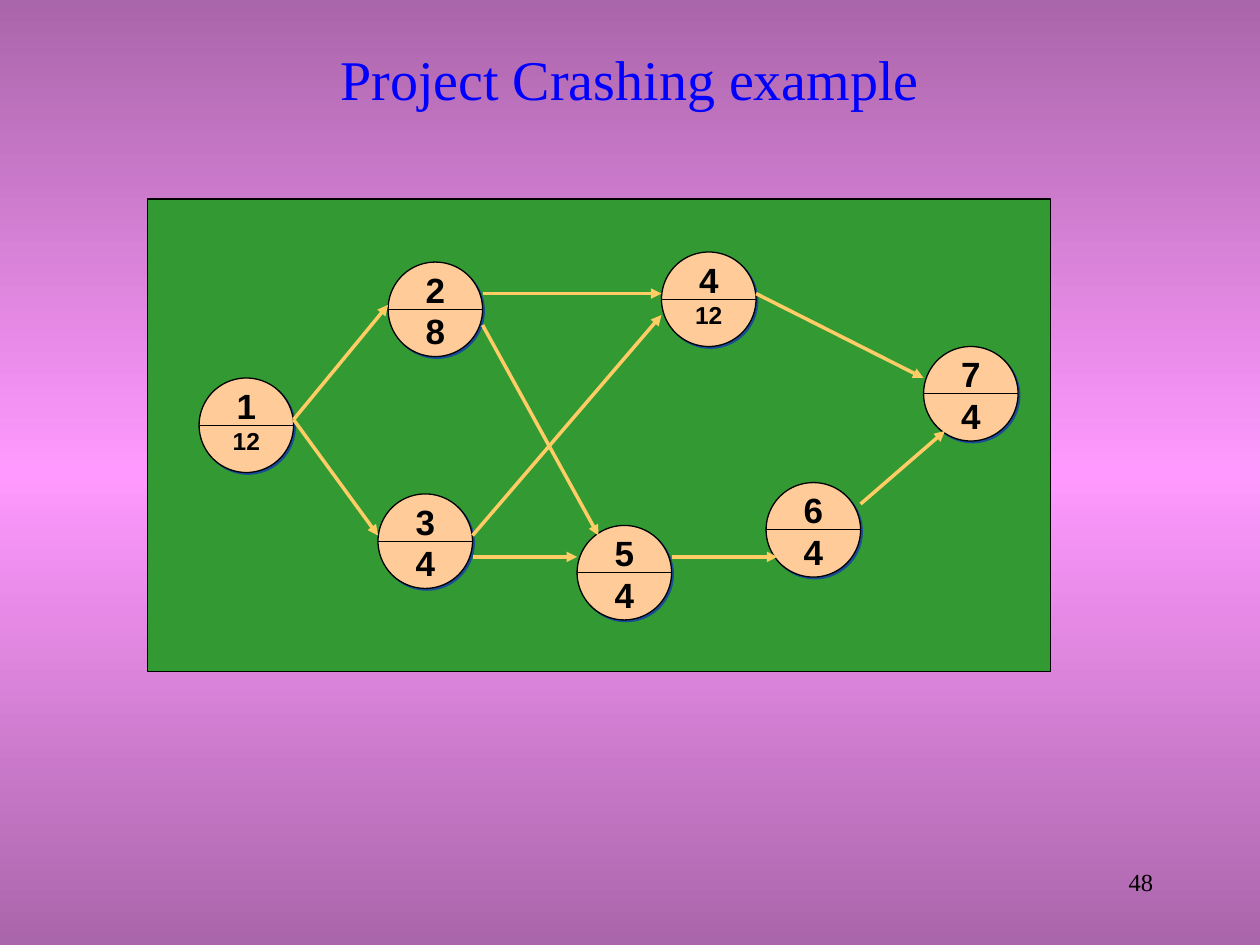
from copy import deepcopy

from lxml.etree import SubElement
from pptx import Presentation
from pptx.dml.color import RGBColor
from pptx.enum.shapes import MSO_CONNECTOR, MSO_SHAPE
from pptx.enum.text import MSO_ANCHOR, PP_ALIGN
from pptx.oxml.ns import qn
from pptx.util import Inches, Pt

TITLE = "Project Crashing example"
PAGE_NUMBER = "48"
BACKGROUND = [(0, "AA66AA"), (0.5, "FF99FF"), (1, "AA66AA")]
PANEL = (1.17, 1.58, 7.17, 3.75)

# activity, duration, left, top, duration text size
NODES = [
    ("1", "12", 1.58, 3, 14),
    ("2", "8", 3.08, 2.08, 20),
    ("4", "12", 5.25, 2, 14),
    ("3", "4", 3, 3.92, 20),
    ("5", "4", 4.58, 4.17, 20),
    ("6", "4", 6.08, 3.83, 20),
    ("7", "4", 7.33, 2.75, 20),
]
DIAMETER = 0.75
LABEL_WIDTH = 0.42

ARROWS = [
    ((2.33, 3.33), (3.08, 2.42)),
    ((2.33, 3.33), (3, 4.25)),
    ((3.75, 4.25), (5.25, 2.5)),
    ((3.83, 2.33), (5.25, 2.33)),
    ((6, 2.33), (7.33, 3)),
    ((3.83, 2.58), (4.75, 4.25)),
    ((3.75, 4.42), (4.58, 4.42)),
    ((6.83, 4), (7.5, 3.42)),
    ((5.33, 4.42), (6.17, 4.42)),
]


def color(value):
    return RGBColor.from_string(value)


def paint_background(page):
    fill = page.background.fill
    fill.gradient()
    fill.gradient_angle = 90
    stop_list = next(page._element.iter(qn("a:gsLst")))
    stop_list.append(deepcopy(stop_list[0]))
    for stop, (position, value) in zip(fill.gradient_stops, BACKGROUND):
        stop.position = position
        stop.color.rgb = color(value)


def add_text(page, text, place, size, font, value, align, margin=0.1, bold=False):
    box = page.shapes.add_textbox(*map(Inches, place))
    frame = box.text_frame
    frame.word_wrap = True
    frame.margin_left = frame.margin_right = Inches(margin)
    para = frame.paragraphs[0]
    para.text = text
    para.alignment = align
    para.font.size = Pt(size)
    para.font.name = font
    para.font.bold = bold
    para.font.color.rgb = color(value)
    return box


def add_outlined(page, kind, place, value):
    shape = page.shapes.add_shape(kind, *map(Inches, place))
    shape.shadow.inherit = False
    shape.fill.solid()
    shape.fill.fore_color.rgb = color(value)
    shape.line.color.rgb = color("000000")
    shape.line.width = Pt(0.75)
    return shape


def add_offset_shadow(shape):
    effects = shape._element.spPr.find(qn("a:effectLst"))
    shadow = SubElement(effects, qn("a:outerShdw"), blurRad="0",
                        dist=str(Pt(1.4)), dir="2700000", algn="ctr", rotWithShape="0")
    tint = SubElement(shadow, qn("a:srgbClr"), val="0000FF")
    SubElement(tint, qn("a:alpha"), val="50000")


def add_line(page, start, end, value, width, arrow=False):
    line = page.shapes.add_connector(MSO_CONNECTOR.STRAIGHT, *map(Inches, start + end))
    line.line.color.rgb = color(value)
    line.line.width = Pt(width)
    if arrow:
        SubElement(line.line._get_or_add_ln(), qn("a:tailEnd"), type="triangle")
    SubElement(line._element.spPr, qn("a:effectLst"))


def add_node(page, activity, duration, left, top, duration_size):
    circle = add_outlined(page, MSO_SHAPE.OVAL, (left, top, DIAMETER, DIAMETER), "FFCC99")
    add_offset_shadow(circle)
    middle = top + DIAMETER / 2
    add_line(page, (left, middle), (left + DIAMETER, middle), "000000", 0.75)
    label_left = left + (DIAMETER - LABEL_WIDTH) / 2
    for text, label_top, size in [(activity, top, 20), (duration, top + 0.33, duration_size)]:
        height = 0.44 if size == 20 else 0.34
        add_text(page, text, (label_left, label_top, LABEL_WIDTH, height), size,
                 "Arial", "000000", PP_ALIGN.CENTER, margin=0, bold=True)


def main():
    deck = Presentation()
    deck.slide_width, deck.slide_height = Inches(10), Inches(7.5)
    page = deck.slides.add_slide(deck.slide_layouts[6])
    paint_background(page)
    add_text(page, PAGE_NUMBER, (7.17, 6.83, 2.08, 0.5), 14,
             "Times New Roman", "000000", PP_ALIGN.RIGHT)
    title = add_text(page, TITLE, (0.75, 0.33, 8.5, 0.58), 32,
                     "Times New Roman", "0000FF", PP_ALIGN.CENTER)
    title.text_frame.vertical_anchor = MSO_ANCHOR.MIDDLE
    add_outlined(page, MSO_SHAPE.RECTANGLE, PANEL, "339933")
    for node in NODES:
        add_node(page, *node)
    for start, end in ARROWS:
        add_line(page, start, end, "FFCC66", 2, arrow=True)
    deck.save("out.pptx")


if __name__ == "__main__":
    main()
